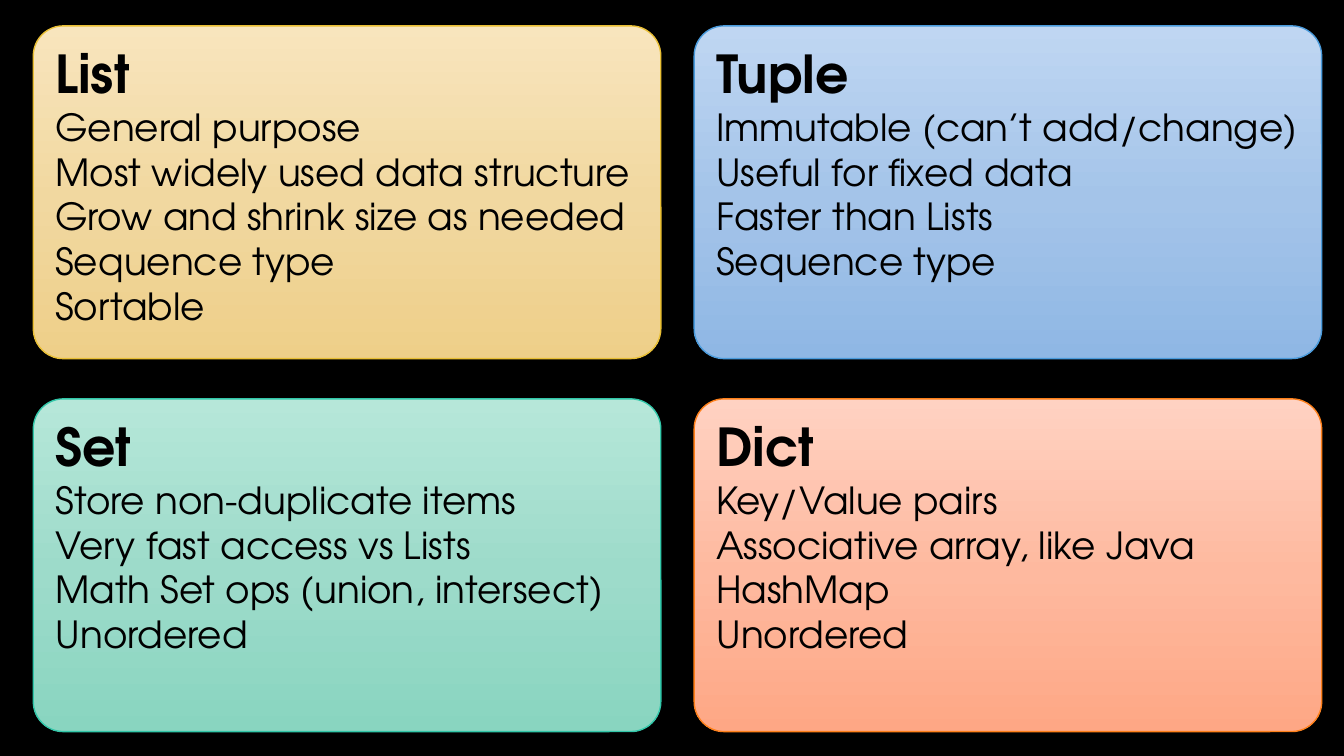
from copy import deepcopy
from dataclasses import dataclass

from pptx import Presentation
from pptx.dml.color import RGBColor
from pptx.enum.shapes import MSO_SHAPE
from pptx.enum.text import MSO_ANCHOR, PP_ALIGN
from pptx.util import Cm, Pt

ROUNDED = MSO_SHAPE.ROUNDED_RECTANGLE
TOP, LEFT = MSO_ANCHOR.TOP, PP_ALIGN.LEFT
BLANK = 6


@dataclass(frozen=True)
class Theme:
    font: str = "TeX Gyre Adventor"
    heading: int = 28
    body: int = 20
    background: str = "000000"
    text: str = "000000"
    # Three gradient stops from top to bottom, then the outline
    gold: tuple = ("F8E5BD", "F1D8A0", "EECF89", "E9BF35")
    blue: tuple = ("BFD6F2", "A4C4E9", "8FB7E4", "4A9BDC")
    green: tuple = ("B6E7D9", "9DDBCA", "89D5C0", "32C7A9")
    orange: tuple = ("FFD2C2", "FEB99F", "FEA785", "FE801A")


theme = Theme()
rgb = RGBColor.from_string

cards = [
    ("List", theme.gold, [
        "General purpose",
        "Most widely used data structure",
        "Grow and shrink size as needed",
        "Sequence type",
        "Sortable",
    ]),
    ("Tuple", theme.blue, [
        "Immutable (can’t add/change)",
        "Useful for fixed data",
        "Faster than Lists",
        "Sequence type",
    ]),
    ("Set", theme.green, [
        "Store non-duplicate items",
        "Very fast access vs Lists",
        "Math Set ops (union, intersect)",
        "Unordered",
    ]),
    ("Dict", theme.orange, [
        "Key/Value pairs",
        "Associative array, like Java HashMap",
        "Unordered",
    ]),
]

prs = Presentation()
prs.slide_width, prs.slide_height = Cm(25.4), Cm(14.29)
slide = prs.slides.add_slide(prs.slide_layouts[BLANK])
slide.background.fill.solid()
slide.background.fill.fore_color.rgb = rgb(theme.background)

# Two by two grid of cards
left, top = 0.63, 0.49
width, height = 11.86, 6.29
step_x, step_y = 12.49, 7.05

for i, (heading, colors, lines) in enumerate(cards):
    row, col = divmod(i, 2)
    s = slide.shapes.add_shape(ROUNDED, Cm(left + col * step_x), Cm(top + row * step_y),
                               Cm(width), Cm(height))
    s.adjustments[0] = 0.09
    s.shadow.inherit = False
    s.line.color.rgb = rgb(colors[3])
    s.line.width = Pt(0.75)

    s.fill.gradient()
    s.fill.gradient_angle = 270
    first_stop = s.element.spPr.xpath("a:gradFill/a:gsLst/a:gs")[0]
    first_stop.addnext(deepcopy(first_stop))
    for stop, position, color in zip(s.fill.gradient_stops, (0, 0.52, 1), colors):
        stop.position = position
        stop.color.rgb = rgb(color)

    tf = s.text_frame
    tf.word_wrap = True
    tf.vertical_anchor = TOP
    tf.text = "\n".join([heading, *lines])
    for n, p in enumerate(tf.paragraphs):
        p.alignment = LEFT
        p.font.name = theme.font
        p.font.size = Pt(theme.body if n else theme.heading)
        p.font.bold = n == 0
        p.font.color.rgb = rgb(theme.text)

prs.save("out.pptx")
